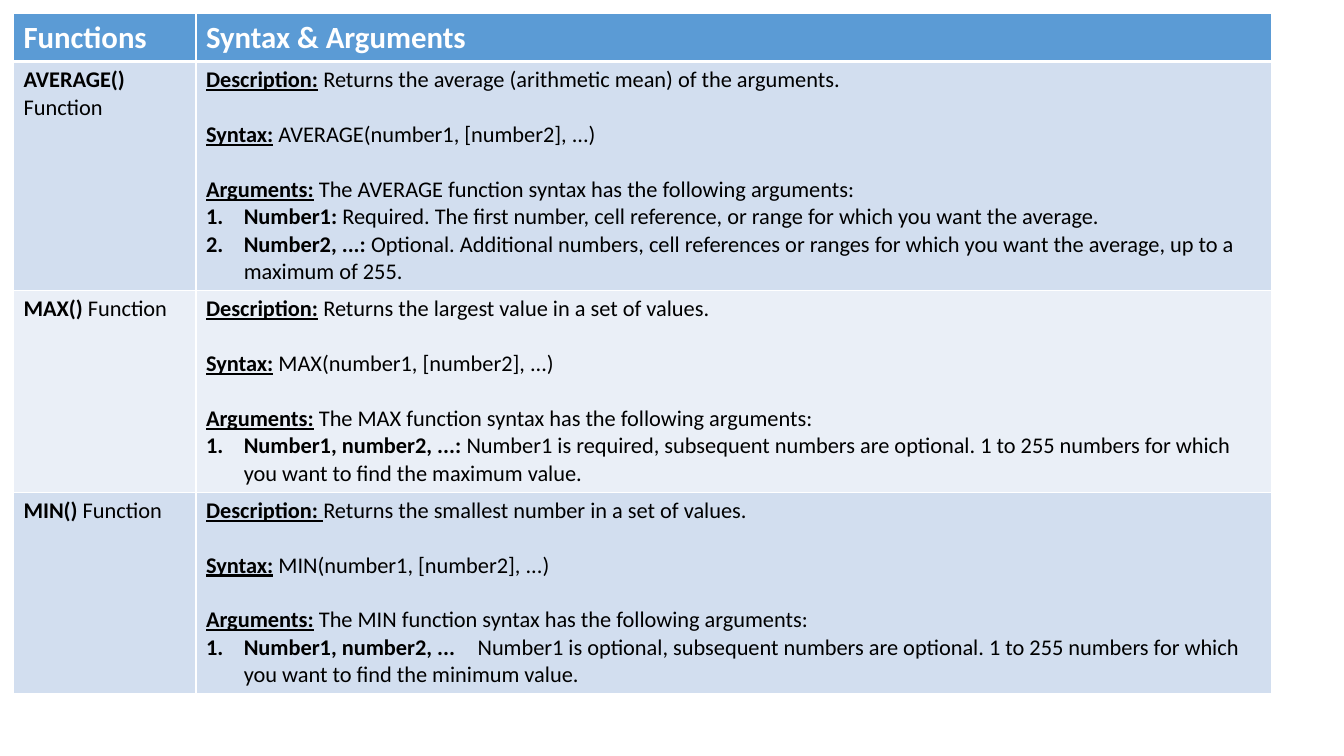
from dataclasses import dataclass
from typing import Any, NamedTuple

from lxml.etree import SubElement
from pptx import Presentation
from pptx.dml.color import RGBColor
from pptx.oxml.ns import qn
from pptx.util import Cm, Pt


@dataclass(frozen=True)
class Theme:
    """Colours, type sizes and line weights of the slide."""
    font: str = "Calibri"
    header_fill: str = "5B9BD5"
    bands: tuple[str, str] = ("D2DEEF", "EAEFF7")
    border: str = "FFFFFF"
    header_text: str = "FFFFFF"
    body_text: str = "000000"
    header_size: int = 22
    body_size: int = 16
    thin: int = 1
    thick: int = 3
    blank_line: float = 19.5


class Span(NamedTuple):
    """A stretch of text with its emphasis."""
    text: str
    bold: bool = False
    underline: bool = False


class Line(NamedTuple):
    """One paragraph: its spans, and whether it is numbered or followed by a gap."""
    spans: tuple[Span, ...]
    numbered: bool = False
    gap_after: bool = False


@dataclass(frozen=True)
class FunctionEntry:
    """One function described in the table."""
    name: str
    summary: str
    arguments: tuple[tuple[str, str], ...]
    height: Cm
    description_label: str = "Description:"


THEME = Theme()
HEADERS = ("Functions", "Syntax & Arguments")
HEADER_HEIGHT = Cm(1.19)
COLUMN_WIDTHS = (Cm(4.6), Cm(27.1))
TABLE_LEFT, TABLE_TOP = Cm(0.34), Cm(0.35)
NUMBER_INDENT = Cm(0.95)

ENTRIES = (
    FunctionEntry(
        "AVERAGE", " Returns the average (arithmetic mean) of the arguments.",
        (("Number1: ", "Required. The first number, cell reference, or range "
          "for which you want the average."),
         ("Number2, ...: ", "Optional. Additional numbers, cell references or ranges "
          "for which you want the average, up to a maximum of 255.")),
        Cm(5.77)),
    FunctionEntry(
        "MAX", " Returns the largest value in a set of values.",
        (("Number1, number2, ...: ", "Number1 is required, subsequent numbers are optional. "
          "1 to 255 numbers for which you want to find the maximum value."),),
        Cm(5.08)),
    FunctionEntry(
        "MIN", "Returns the smallest number in a set of values.",
        (("Number1, number2, ...", "\u2003Number1 is optional, subsequent numbers are optional. "
          "1 to 255 numbers for which you want to find the minimum value."),),
        Cm(5.08), "Description: "),
)


def apply_format(target: Any, values: dict[str, Any]) -> None:
    """Set each named attribute on the target."""
    for name, value in values.items():
        setattr(target, name, value)


def number_paragraph(para: Any) -> None:
    """Give a paragraph an automatic number and a hanging indent."""
    properties = para._p.get_or_add_pPr()
    properties.set("marL", str(NUMBER_INDENT))
    properties.set("indent", str(-NUMBER_INDENT))
    SubElement(properties, qn("a:buFont"), typeface="+mj-lt")
    SubElement(properties, qn("a:buAutoNum"), type="arabicPeriod")


def draw_borders(cell: Any, top: int, bottom: int) -> None:
    """Draw the four edges of a cell, with the given top and bottom weights."""
    weights = {"a:lnL": THEME.thin, "a:lnR": THEME.thin, "a:lnT": top, "a:lnB": bottom}
    for tag, weight in weights.items():
        edge = SubElement(cell._tc.get_or_add_tcPr(), qn(tag), w=str(Pt(weight)))
        SubElement(SubElement(edge, qn("a:solidFill")), qn("a:srgbClr"), val=THEME.border)


def fill_cell(cell: Any, lines: tuple[Line, ...], fill: str, colour: str, size: int) -> None:
    """Fill a cell and write its paragraphs."""
    cell.fill.solid()
    cell.fill.fore_color.rgb = RGBColor.from_string(fill)
    frame = cell.text_frame
    for position, line in enumerate(lines):
        para = frame.add_paragraph() if position else frame.paragraphs[0]
        if line.gap_after:
            para.space_after = Pt(THEME.blank_line)
        if line.numbered:
            number_paragraph(para)
        for span in line.spans:
            run = para.add_run()
            run.text = span.text
            apply_format(run.font, {"name": THEME.font, "size": Pt(size),
                                    "bold": span.bold, "underline": span.underline})
            run.font.color.rgb = RGBColor.from_string(colour)


def labelled(label: str, text: str, gap_after: bool = False) -> Line:
    """Return a line that opens with a bold, underlined label."""
    return Line((Span(label, True, True), Span(text)), gap_after=gap_after)


def entry_cells(entry: FunctionEntry) -> tuple[tuple[Line, ...], ...]:
    """Return the lines of the name cell and of the detail cell."""
    title = Line((Span(f"{entry.name}()", True), Span(" Function")))
    details = (
        labelled(entry.description_label, entry.summary, gap_after=True),
        labelled("Syntax:", f" {entry.name}(number1, [number2], ...)", gap_after=True),
        labelled("Arguments:", f" The {entry.name} function syntax has the following arguments:"),
        *(Line((Span(label, True), Span(text)), numbered=True)
          for label, text in entry.arguments),
    )
    return (title,), details


def draw_table(page: Any) -> None:
    """Draw the table of functions."""
    heights = (HEADER_HEIGHT, *(entry.height for entry in ENTRIES))
    table = page.shapes.add_table(len(heights), len(COLUMN_WIDTHS), TABLE_LEFT, TABLE_TOP,
                                  sum(COLUMN_WIDTHS), sum(heights)).table
    for column, width in zip(table.columns, COLUMN_WIDTHS):
        column.width = width
    for row, height in zip(table.rows, heights):
        row.height = height

    header = tuple((Line((Span(text, True),)),) for text in HEADERS)
    contents = (header, *map(entry_cells, ENTRIES))
    for index, cells in enumerate(contents):
        if index == 0:
            style = (THEME.header_fill, THEME.header_text, THEME.header_size)
        else:
            style = (THEME.bands[(index - 1) % 2], THEME.body_text, THEME.body_size)
        top = THEME.thick if index == 1 else THEME.thin
        bottom = THEME.thick if index == 0 else THEME.thin
        for column, lines in enumerate(cells):
            cell = table.cell(index, column)
            draw_borders(cell, top, bottom)
            fill_cell(cell, lines, *style)


def main() -> None:
    """Build the deck and save it."""
    deck = Presentation()
    apply_format(deck, {"slide_width": Cm(33.87), "slide_height": Cm(19.05)})
    page = deck.slides.add_slide(deck.slide_layouts[6])
    draw_table(page)
    deck.save("out.pptx")


main()
